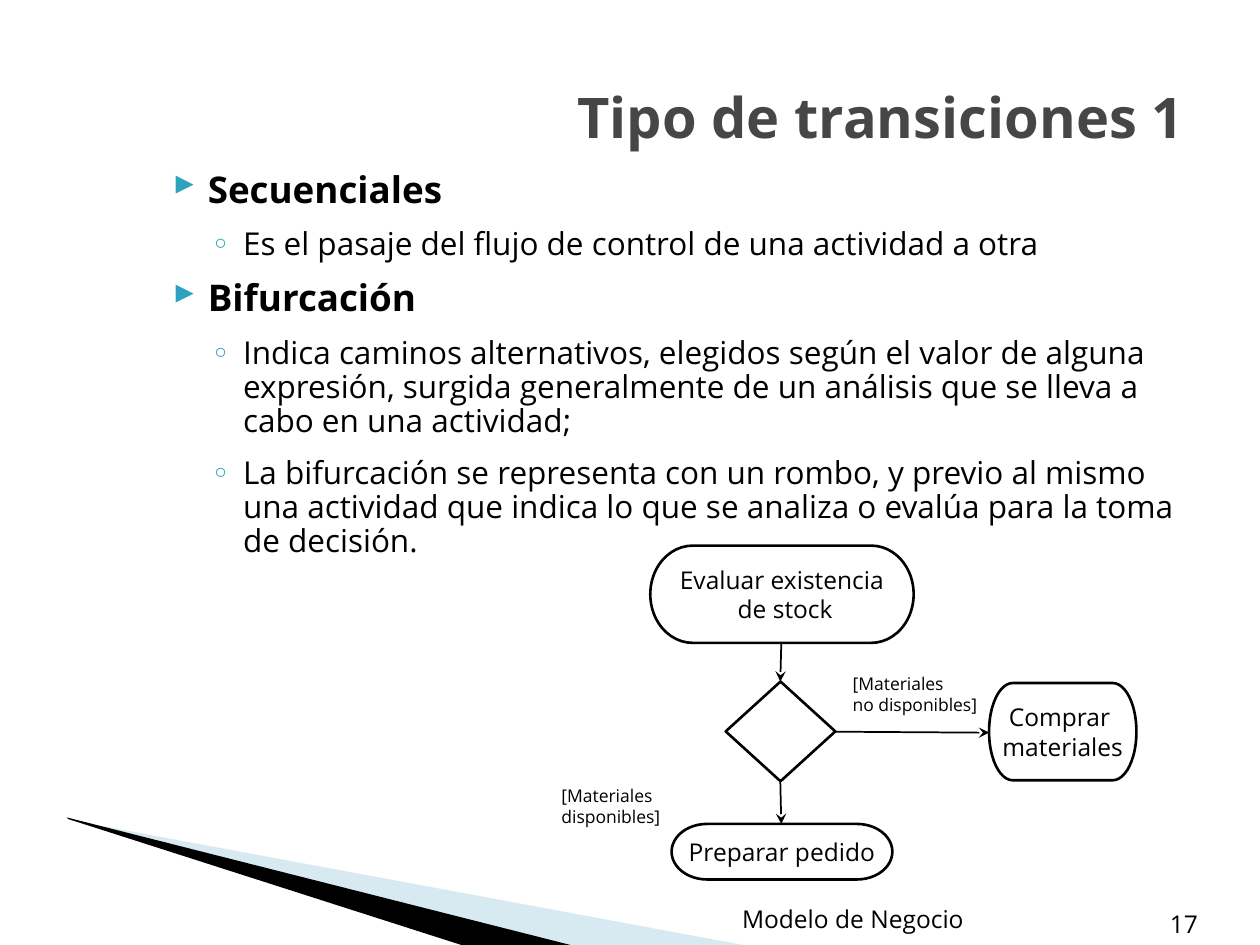
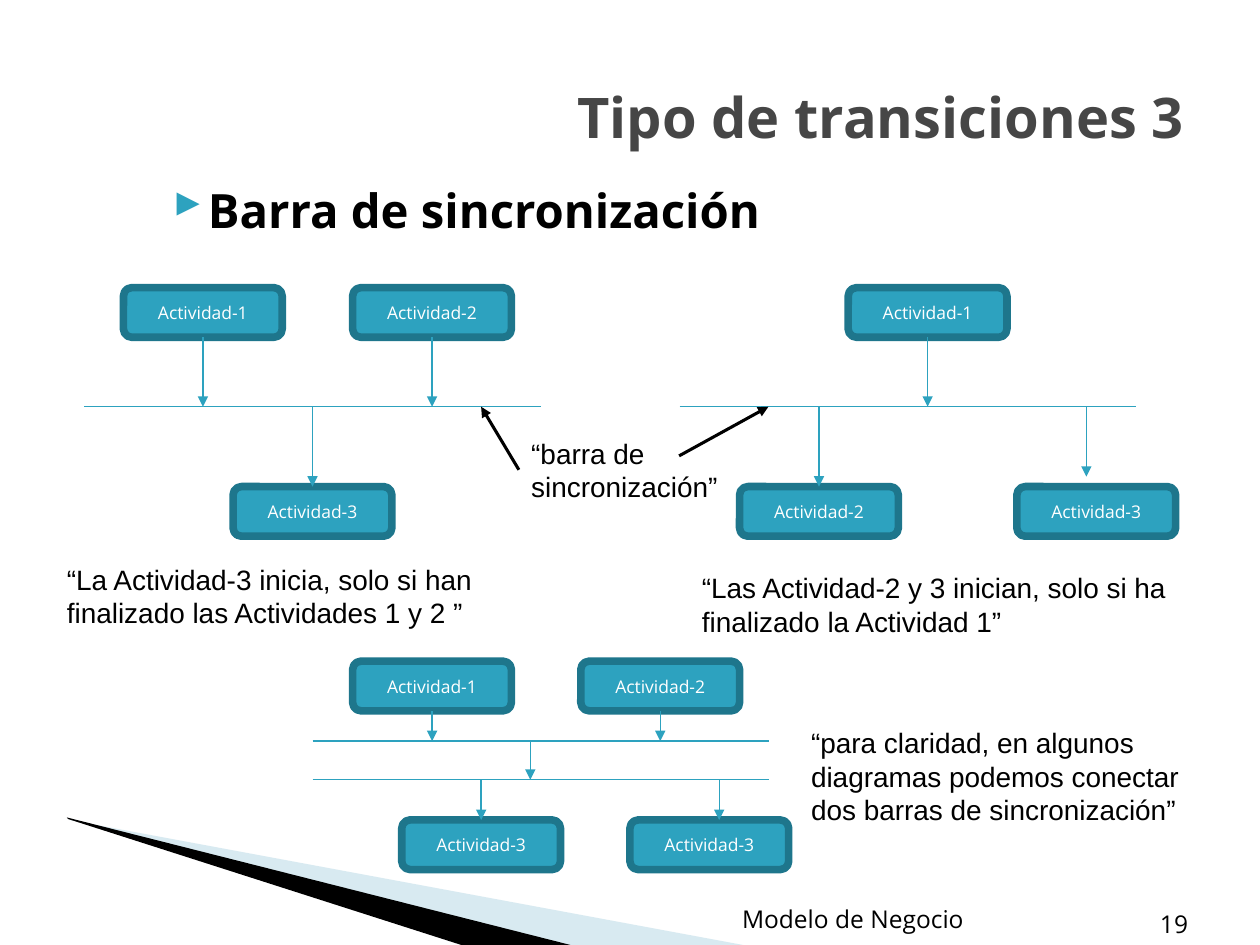
from dataclasses import dataclass

from lxml.etree import SubElement
from pptx import Presentation
from pptx.dml.color import RGBColor
from pptx.enum.shapes import MSO_CONNECTOR, MSO_SHAPE
from pptx.enum.text import MSO_ANCHOR, PP_ALIGN
from pptx.oxml.ns import qn
from pptx.util import Cm, Pt


@dataclass(frozen=True)
class Theme:
    black: RGBColor = RGBColor(0x00, 0x00, 0x00)
    white: RGBColor = RGBColor(0xFF, 0xFF, 0xFF)
    title: RGBColor = RGBColor(0x46, 0x46, 0x46)
    accent: RGBColor = RGBColor(0x2D, 0xA2, 0xBF)
    border: RGBColor = RGBColor(0x1E, 0x76, 0x8C)
    wedge: RGBColor = RGBColor(0x9F, 0xCB, 0xDC)
    font: str = "Open Sans"
    note_font: str = "Arial"
    symbol_font: str = "Wingdings 3"
    title_size: int = 32
    note_size: int = 16
    node_size: int = 14
    small_size: int = 10


theme = Theme()


def write_text(shape, lines, size, color=theme.black, font=theme.font, bold=False,
               align=PP_ALIGN.LEFT, anchor=MSO_ANCHOR.TOP):
    """Fill a shape with one paragraph per line, all in one style."""
    frame = shape.text_frame
    frame.word_wrap = True
    frame.vertical_anchor = anchor
    frame.text = "\n".join(lines)
    for paragraph in frame.paragraphs:
        paragraph.alignment = align
        paragraph.font.name = font
        paragraph.font.size = Pt(size)
        paragraph.font.bold = bold
        paragraph.font.color.rgb = color


def add_link(page, start, end, color, width, arrowhead=None):
    """Draw a straight line between two points in cm, with an optional arrowhead."""
    link = page.shapes.add_connector(
        MSO_CONNECTOR.STRAIGHT, *(Cm(value) for value in (*start, *end)))
    link.line.color.rgb = color
    link.line.width = Pt(width)
    if arrowhead:
        SubElement(link.line._get_or_add_ln(), qn("a:tailEnd"), type=arrowhead)
    SubElement(link._element.spPr, qn("a:effectLst"))


deck = Presentation()
deck.slide_width, deck.slide_height = Cm(25.4), Cm(19.05)

# Content of both pages: body entries are (level, text)
page_specs = [
    dict(title="Tipo de transiciones 1", number="17", number_right=24.4,
         body_top=3.33, body_height=7.14, sizes=(21, 18), spacing=0.9,
         body=[(0, "Secuenciales"),
               (1, "Es el pasaje del flujo de control de una actividad a otra"),
               (0, "Bifurcación"),
               (1, "Indica caminos alternativos, elegidos según el valor de alguna "
                   "expresión, surgida generalmente de un análisis que se lleva a "
                   "cabo en una actividad;"),
               (1, "La bifurcación se representa con un rombo, y previo al mismo "
                   "una actividad que indica lo que se analiza o evalúa para la "
                   "toma de decisión.")]),
    dict(title="Tipo de transiciones 3", number="19", number_right=24.2,
         body_top=3.53, body_height=1.68, sizes=(27,), spacing=1.0,
         body=[(0, "Barra de sincronización")]),
]
wedges = [
    (theme.wedge, 40, [(1.4, 16.53), (14.98, 19.05), (11.48, 19.05), (1.4, 16.51)]),
    (theme.black, 100, [(1.35, 16.48), (11.5, 19.05), (9.3, 19.05), (1.37, 16.51)]),
]
# Sign, font attributes, margin, indent; "}" is the right triangle of the symbol font
bullets = [
    ("}", dict(typeface=theme.symbol_font, charset="2"), 1.02, -0.71),
    ("◦", dict(typeface=theme.font), 1.73, -0.64),
]

pages = []
for spec in page_specs:
    page = deck.slides.add_slide(deck.slide_layouts[5])
    pages.append(page)

    # Corner wedges
    for color, opacity, points in wedges:
        corners = [(Cm(x), Cm(y)) for x, y in points]
        builder = page.shapes.build_freeform(*corners[0], scale=1.0)
        builder.add_line_segments(corners[1:], close=True)
        wedge = builder.convert_to_shape()
        wedge.shadow.inherit = False
        wedge.line.fill.background()
        wedge.fill.solid()
        wedge.fill.fore_color.rgb = color
        if opacity < 100:
            SubElement(wedge._element.spPr.find(qn("a:solidFill"))[0],
                       qn("a:alpha"), val=str(opacity * 1000))

    # Title
    title = page.shapes.title
    title.left, title.top, title.width, title.height = Cm(1.27), Cm(0.76), Cm(22.86), Cm(3.18)
    write_text(title, [spec["title"]], theme.title_size, theme.title, bold=True,
               align=PP_ALIGN.RIGHT, anchor=MSO_ANCHOR.MIDDLE)

    # Bulleted body
    body = page.shapes.add_textbox(
        Cm(2.92), Cm(spec["body_top"]), Cm(21.18), Cm(spec["body_height"]))
    write_text(body, [text for _, text in spec["body"]], spec["sizes"][0])
    for index, (level, _) in enumerate(spec["body"]):
        sign, sign_font, margin, indent = bullets[level]
        paragraph = body.text_frame.paragraphs[index]
        paragraph.level = level
        paragraph.line_spacing = spec["spacing"]
        paragraph.space_before = Pt(10 if index else 0)
        paragraph.font.size = Pt(spec["sizes"][level])
        paragraph.font.bold = level == 0
        properties = paragraph._p.get_or_add_pPr()
        properties.set("marL", str(Cm(margin)))
        properties.set("indent", str(Cm(indent)))
        defaults = properties.find(qn("a:defRPr"))
        bullet_color = SubElement(properties, qn("a:buClr"))
        SubElement(bullet_color, qn("a:srgbClr"), val=str(theme.accent))
        SubElement(properties, qn("a:buFont"), **sign_font)
        SubElement(properties, qn("a:buChar"), char=sign)
        properties.append(defaults)

    # Footer and page number
    footer = page.shapes.add_textbox(Cm(13.69), Cm(17.93), Cm(7.01), Cm(1.02))
    write_text(footer, ["Modelo de Negocio"], theme.node_size,
               align=PP_ALIGN.CENTER, anchor=MSO_ANCHOR.BOTTOM)
    number = page.shapes.add_textbox(
        Cm(spec["number_right"] - 1.8), Cm(18.03), Cm(1.8), Cm(1.02))
    write_text(number, [spec["number"]], theme.node_size,
               align=PP_ALIGN.RIGHT, anchor=MSO_ANCHOR.BOTTOM)

branch_page, sync_page = pages

# Branching flow: nodes
flow_nodes = [
    (MSO_SHAPE.FLOWCHART_TERMINATOR, (13.11, 11, 5.31, 1.96),
     ["Evaluar existencia", " de stock"]),
    (MSO_SHAPE.FLOWCHART_DECISION, (14.63, 13.74, 2.21, 2.01), []),
    (MSO_SHAPE.FLOWCHART_TERMINATOR, (19.94, 13.77, 2.97, 1.96), ["Comprar ", "materiales"]),
    (MSO_SHAPE.FLOWCHART_TERMINATOR, (13.54, 16.61, 4.45, 1.12), ["Preparar pedido"]),
]
for kind, place, lines in flow_nodes:
    node = branch_page.shapes.add_shape(kind, *(Cm(value) for value in place))
    node.shadow.inherit = False
    node.fill.background()
    node.line.color.rgb = theme.black
    node.line.width = Pt(1.5)
    frame = node.text_frame
    frame.margin_left = frame.margin_right = frame.margin_top = frame.margin_bottom = Cm(0.1)
    if lines:
        write_text(node, lines, theme.node_size,
                   align=PP_ALIGN.CENTER, anchor=MSO_ANCHOR.MIDDLE)

# Branching flow: arrows and conditions
for start, end in [((15.75, 12.96), (15.73, 13.74)),
                   ((15.73, 15.75), (15.75, 16.61)),
                   ((16.84, 14.75), (19.94, 14.77))]:
    add_link(branch_page, start, end, theme.black, 1, "stealth")
for place, lines in [((11.07, 15.7, 3.94, 1.12), ["[Materiales disponibles]"]),
                     ((16.94, 13.44, 3.38, 1.12), ["[Materiales", "no disponibles]"])]:
    condition = branch_page.shapes.add_textbox(*(Cm(value) for value in place))
    write_text(condition, lines, theme.small_size)

# Synchronization bars
bar_length = 9.2
upper_bar, middle_bar, lower_bar = 8.2, 14.94, 15.72
for left, level in [(1.7, upper_bar), (13.7, upper_bar), (6.3, middle_bar), (6.3, lower_bar)]:
    add_link(sync_page, (left, level), (left + bar_length, level), theme.accent, 0.75)
add_link(sync_page, (10.69, middle_bar), (10.69, lower_bar), theme.accent, 0.75, "triangle")

# Activity rows: top, bar, then (name, left, arrow shift, arrow gap)
box_width, box_height = 3.2, 1
activity_rows = [
    (5.8, upper_bar, [("Actividad-1", 2.49, 0, 0), ("Actividad-2", 7.11, 0, 0),
                      ("Actividad-1", 17.1, 0, 0)]),
    (9.81, upper_bar, [("Actividad-3", 4.7, 0, 0), ("Actividad-2", 14.91, 0, 0),
                       ("Actividad-3", 20.5, -0.2, 0.2)]),
    (13.33, middle_bar, [("Actividad-1", 7.11, 0, 0), ("Actividad-2", 11.71, 0, 0)]),
    (16.53, lower_bar, [("Actividad-3", 8.1, 0, 0), ("Actividad-3", 12.7, 0.2, 0)]),
]
for top, bar, activities in activity_rows:
    for name, left, shift, gap in activities:
        activity = sync_page.shapes.add_shape(
            MSO_SHAPE.ROUNDED_RECTANGLE, Cm(left), Cm(top), Cm(box_width), Cm(box_height))
        activity.shadow.inherit = False
        activity.fill.solid()
        activity.fill.fore_color.rgb = theme.accent
        activity.line.color.rgb = theme.border
        activity.line.width = Pt(4.33)
        write_text(activity, [name], theme.small_size, theme.white,
                   align=PP_ALIGN.CENTER, anchor=MSO_ANCHOR.MIDDLE)
        start, end = (top + box_height, bar) if top < bar else (bar, top - gap)
        center = left + box_width / 2 + shift
        add_link(sync_page, (center, start), (center, end), theme.accent, 0.75, "triangle")

# Pointers to the bars and explanatory notes
for start, end in [((10.46, 9.47), (9.7, upper_bar)), ((13.69, 9.19), (15.49, upper_bar))]:
    add_link(sync_page, start, end, theme.black, 1.75, "triangle")
notes = [
    ((10.46, 8.67, 4.47, 1.63), ["“barra de", "sincronización”"]),
    ((1.1, 11.21, 10.21, 1.63),
     ["“La Actividad-3 inicia, solo si han finalizado las Actividades 1 y 2 ”"]),
    ((13.9, 11.38, 10.21, 1.63),
     ["“Las Actividad-2 y 3 inician, solo si ha finalizado la Actividad 1”"]),
    ((16.1, 14.5, 8.81, 2.31),
     ["“para claridad, en algunos diagramas podemos conectar "
      "dos barras de sincronización”"]),
]
for place, lines in notes:
    note = sync_page.shapes.add_textbox(*(Cm(value) for value in place))
    write_text(note, lines, theme.note_size, font=theme.note_font)

deck.save("out.pptx")
